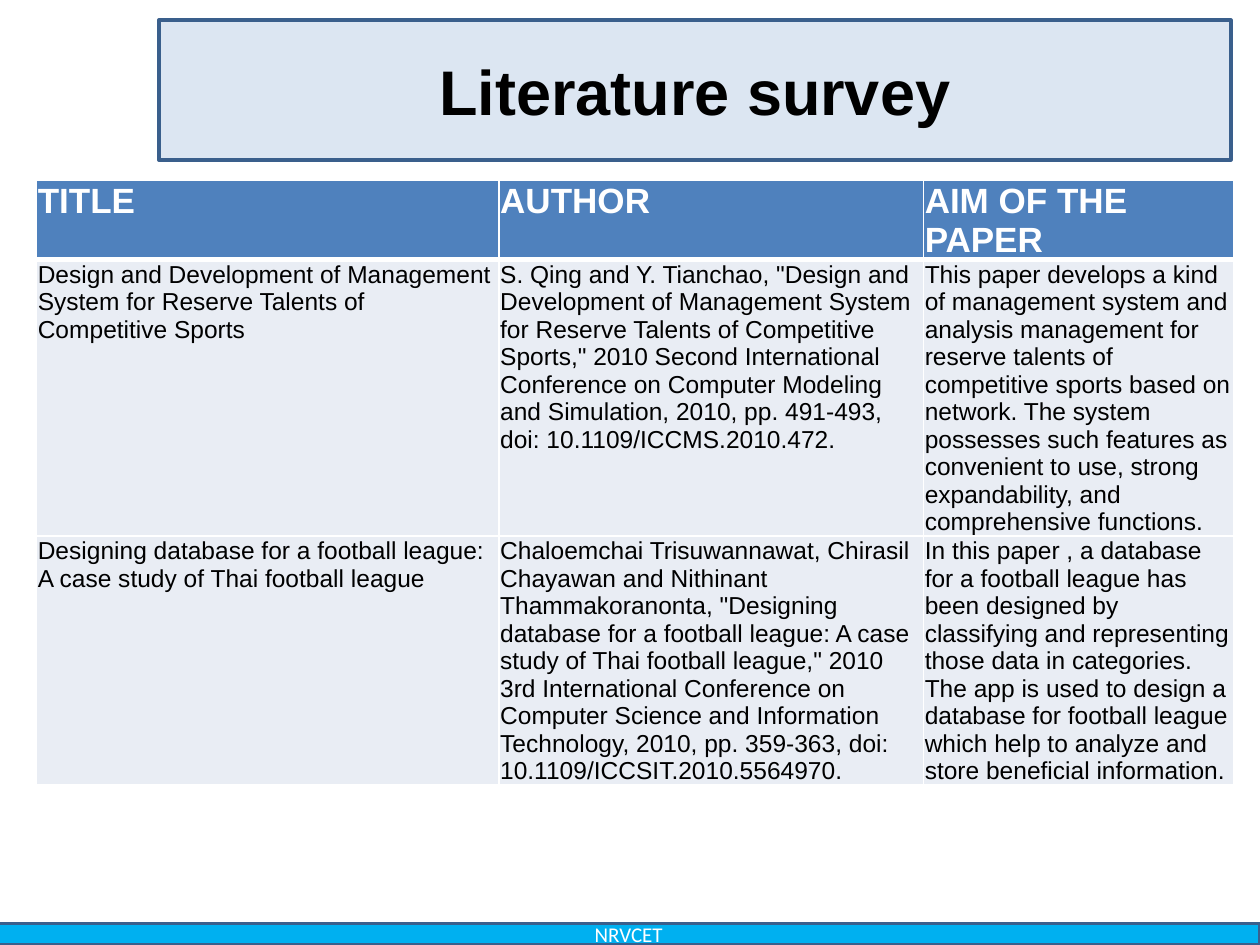
from dataclasses import dataclass

from lxml import etree
from pptx import Presentation
from pptx.dml.color import RGBColor
from pptx.enum.shapes import MSO_SHAPE
from pptx.enum.text import MSO_ANCHOR, MSO_AUTO_SIZE, PP_ALIGN
from pptx.oxml.ns import qn
from pptx.util import Inches, Pt

RECTANGLE = MSO_SHAPE.RECTANGLE
MIDDLE = MSO_ANCHOR.MIDDLE
CENTER = PP_ALIGN.CENTER
NO_AUTOFIT = MSO_AUTO_SIZE.NONE
TITLE_ONLY = 5


@dataclass(frozen=True)
class Theme:
    """Colours, fonts and type sizes of the slide."""
    black: str = "000000"
    white: str = "FFFFFF"
    outline: str = "3A5F8C"
    title_fill: str = "DCE6F2"
    footer_fill: str = "00B0F0"
    header_fill: str = "4F81BD"
    row_fill: str = "E9EDF4"
    font: str = "Arial"
    footer_font: str = "Calibri"
    title_size: int = 36
    header_size: int = 20
    body_size: int = 14
    footer_size: int = 12
    outline_width: int = 2


THEME = Theme()
COLUMN_WIDTHS = (3.67, 3.37, 2.46)
ROW_HEIGHTS = (0.62, 2.19, 1.97)
SURVEY = (
    ("TITLE", "AUTHOR", "AIM OF THE PAPER"),
    (
        "Design and Development of Management System for Reserve Talents of "
        "Competitive Sports",
        'S. Qing and Y. Tianchao, "Design and Development of Management System '
        'for Reserve Talents of Competitive Sports," 2010 Second International '
        "Conference on Computer Modeling and Simulation, 2010, pp. 491-493, "
        "doi: 10.1109/ICCMS.2010.472.",
        "This paper develops a kind of management system and analysis management "
        "for reserve talents of competitive sports based on network. The system "
        "possesses such features as convenient to use, strong expandability, and "
        "comprehensive functions.",
    ),
    (
        "Designing database for a football league: A case study of Thai football "
        "league",
        "Chaloemchai Trisuwannawat, Chirasil Chayawan and Nithinant "
        'Thammakoranonta, "Designing database for a football league: A case study '
        'of Thai football league," 2010 3rd International Conference on Computer '
        "Science and Information Technology, 2010, pp. 359-363, doi: "
        "10.1109/ICCSIT.2010.5564970.",
        "In this paper , a database for a football league has been designed by "
        "classifying and representing those data in categories. The app is used "
        "to design a database for football league which help to analyze and store "
        "beneficial information.",
    ),
)


def set_attributes(target, values):
    """Set each named value on the target."""
    for name, value in values.items():
        setattr(target, name, value)


def write_text(text_frame, text, font, size, color, bold=False, alignment=None):
    """Write one formatted paragraph."""
    paragraph = text_frame.paragraphs[0]
    paragraph.alignment = alignment
    run = paragraph.add_run()
    run.text = text
    set_attributes(run.font, {"name": font, "size": Pt(size), "bold": bold})
    run.font.color.rgb = RGBColor.from_string(color)


def style_panel(shape, fill):
    """Give a panel its fill, outline and centred text frame."""
    shape.shadow.inherit = False
    shape.fill.solid()
    shape.fill.fore_color.rgb = RGBColor.from_string(fill)
    shape.line.color.rgb = RGBColor.from_string(THEME.outline)
    shape.line.width = Pt(THEME.outline_width)
    set_attributes(shape.text_frame, {
        "word_wrap": True, "auto_size": NO_AUTOFIT, "vertical_anchor": MIDDLE})


def add_title(slide, left, top, width, height):
    """Place the title placeholder as a framed panel."""
    title = slide.shapes.title
    set_attributes(title, {
        "left": Inches(left), "top": Inches(top),
        "width": Inches(width), "height": Inches(height)})
    style_panel(title, THEME.title_fill)
    write_text(title.text_frame, "Literature survey", THEME.font,
               THEME.title_size, THEME.black, True, CENTER)


def add_footer(slide, left, top, width, height):
    """Place the footer band with the college name."""
    footer = slide.shapes.add_shape(
        RECTANGLE, Inches(left), Inches(top), Inches(width), Inches(height))
    style_panel(footer, THEME.footer_fill)
    write_text(footer.text_frame, "NRVCET", THEME.footer_font,
               THEME.footer_size, THEME.white, False, CENTER)


def add_borders(cell, bottom_width):
    """Draw white borders around a cell."""
    properties = cell._tc.get_or_add_tcPr()
    widths = {"a:lnL": 1, "a:lnR": 1, "a:lnT": 1, "a:lnB": bottom_width}
    for tag, width in widths.items():
        border = etree.SubElement(properties, qn(tag), w=str(Pt(width)))
        fill = etree.SubElement(border, qn("a:solidFill"))
        etree.SubElement(fill, qn("a:srgbClr"), val=THEME.white)


def fill_cell(cell, text, is_header):
    """Format one table cell and write its text."""
    set_attributes(cell, {
        "margin_left": Inches(0.01), "margin_right": Inches(0.01),
        "margin_top": Inches(0.01), "margin_bottom": Inches(0)})
    add_borders(cell, 3 if is_header else 1)
    cell.fill.solid()
    cell.fill.fore_color.rgb = RGBColor.from_string(
        THEME.header_fill if is_header else THEME.row_fill)
    write_text(cell.text_frame, text, THEME.font,
               THEME.header_size if is_header else THEME.body_size,
               THEME.white if is_header else THEME.black, is_header)


def add_survey_table(slide, left, top, width, height):
    """Place the table of surveyed papers."""
    table = slide.shapes.add_table(
        len(SURVEY), len(COLUMN_WIDTHS), Inches(left), Inches(top),
        Inches(width), Inches(height)).table
    for column, share in zip(table.columns, COLUMN_WIDTHS):
        column.width = Inches(width * share / sum(COLUMN_WIDTHS))
    for row, share in zip(table.rows, ROW_HEIGHTS):
        row.height = Inches(height * share / sum(ROW_HEIGHTS))
    for row_index, texts in enumerate(SURVEY):
        for column_index, text in enumerate(texts):
            fill_cell(table.cell(row_index, column_index), text, row_index == 0)


def main():
    """Build and save the presentation."""
    presentation = Presentation()
    presentation.slide_width = Inches(10)
    presentation.slide_height = Inches(7.5)
    slide = presentation.slides.add_slide(presentation.slide_layouts[TITLE_ONLY])
    add_footer(slide, -0.02, 7.33, 10.02, 0.17)
    add_title(slide, 1.26, 0.16, 8.51, 1.11)
    add_survey_table(slide, 0.29, 1.43, 9.5, 4.78)
    presentation.save("out.pptx")


if __name__ == "__main__":
    main()
